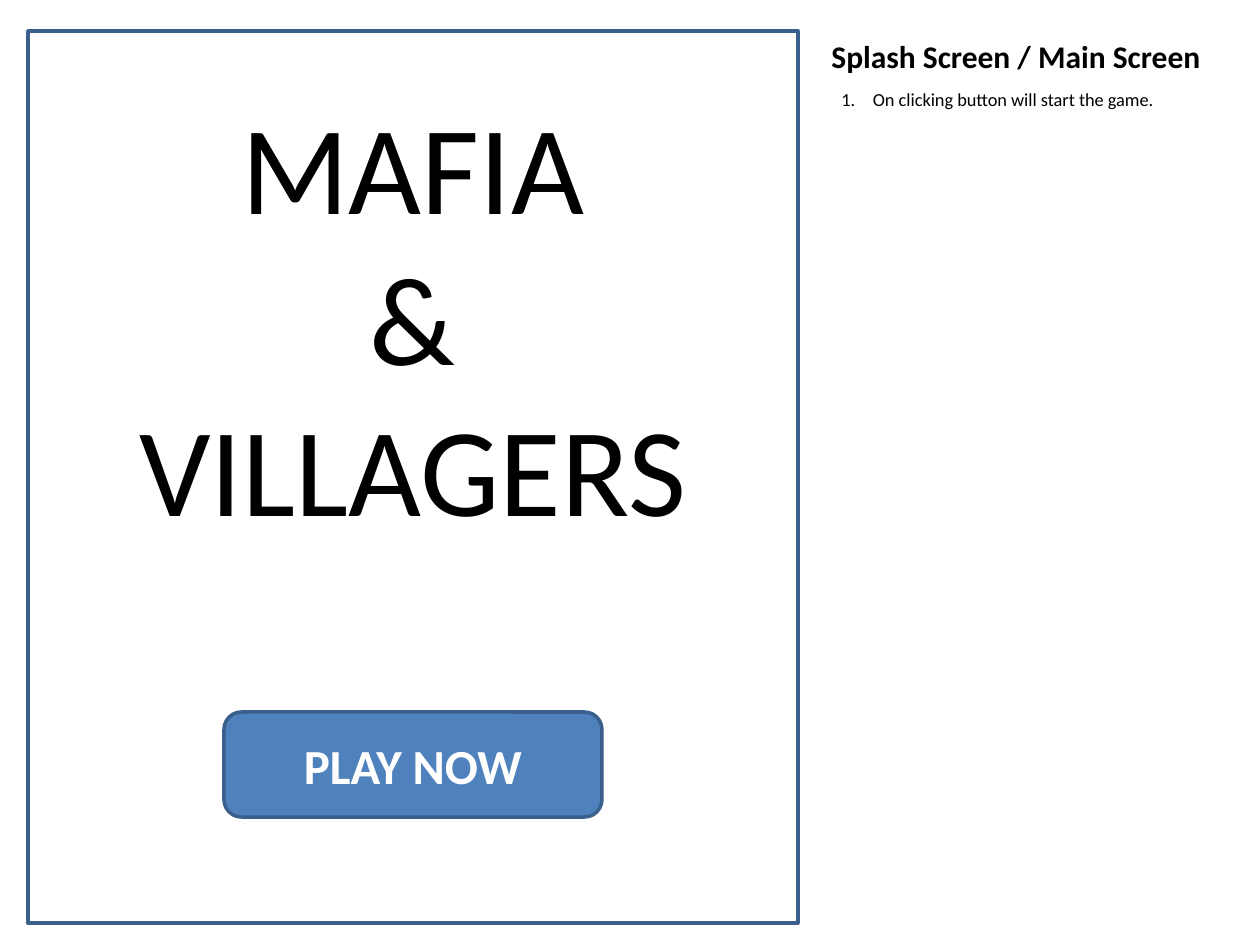
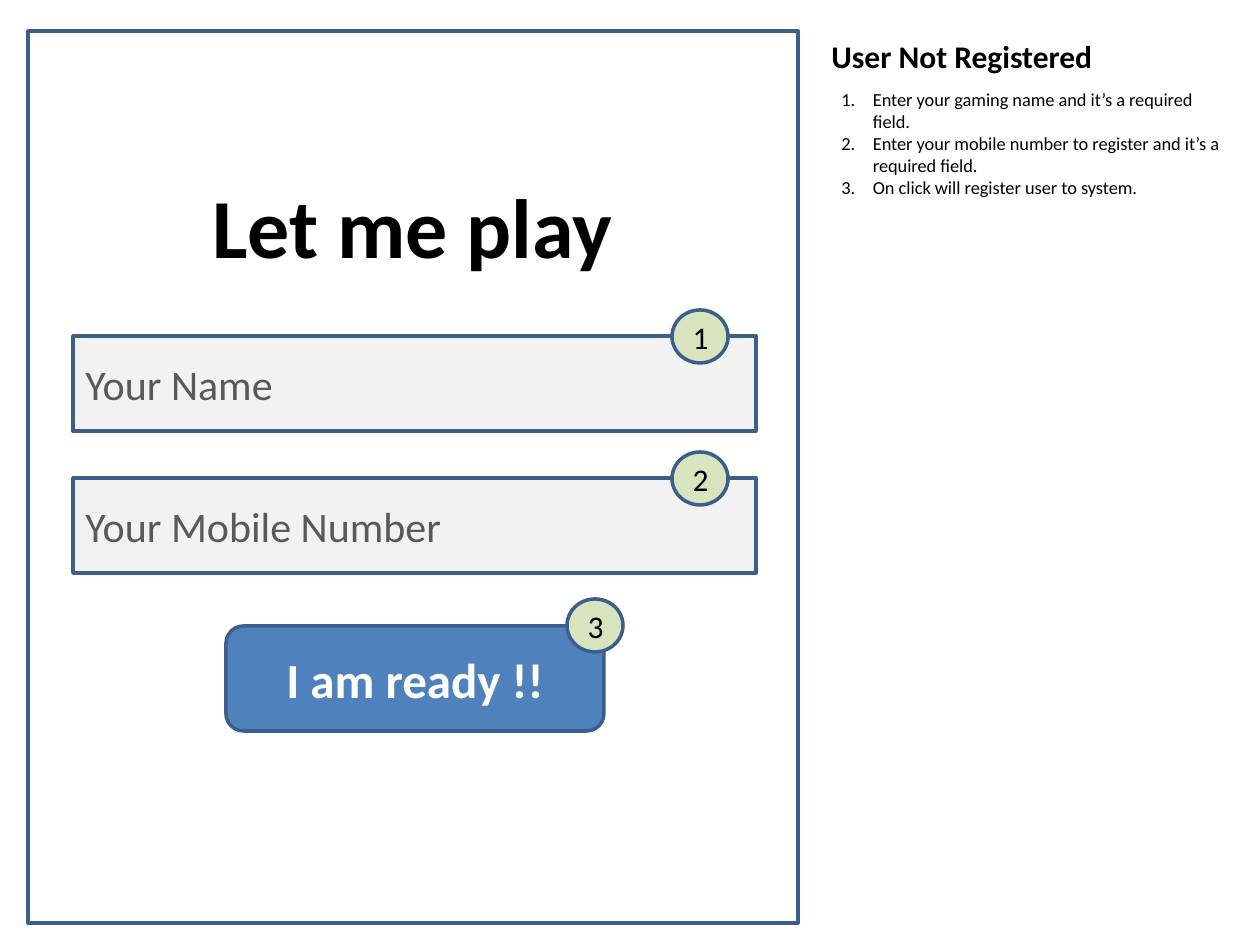
"""Build two annotated screen mock-ups of a party game."""
import pptx
import pptx.util
import pptx.dml.color
import pptx.enum.shapes
import pptx.enum.text
import lxml.etree

SCALE = 914400 / 126
HUES = {"white": "FFFFFF", "black": "000000", "edge": "3A5F8C", "blue": "4F81BD",
        "field": "F2F2F2", "hint": "595959", "badge": "D7E4BD"}
KINDS = pptx.enum.shapes.MSO_SHAPE
ALIGN = pptx.enum.text.PP_ALIGN
ANCHOR = pptx.enum.text.MSO_ANCHOR
FIT = pptx.enum.text.MSO_AUTO_SIZE
LOOKS = {
    "frame": {"kind": KINDS.RECTANGLE, "fill": "white"},
    "title": {"size": 18, "bold": True},
    "notes": {"size": 10.5, "list": True},
    "logo": {"size": 72, "align": ALIGN.CENTER},
    "head": {"size": 48, "bold": True, "align": ALIGN.CENTER},
    "button": {"kind": KINDS.ROUNDED_RECTANGLE, "fill": "blue", "size": 28,
               "bold": True, "ink": "white", "align": ALIGN.CENTER},
    "field": {"kind": KINDS.RECTANGLE, "fill": "field", "size": 24, "ink": "hint"},
    "badge": {"kind": KINDS.OVAL, "fill": "badge", "size": 18, "align": ALIGN.CENTER},
}


def tint(name):
    return pptx.dml.color.RGBColor.from_string(HUES[name])


def draw(page, style, box, lines=()):
    look = LOOKS[style]
    spot = [round(side * SCALE) for side in box]
    if "kind" in look:
        shape = page.shapes.add_shape(look["kind"], *spot)
        shape.shadow.inherit = False
        shape.fill.solid()
        shape.fill.fore_color.rgb = tint(look["fill"])
        shape.line.color.rgb = tint("edge")
        shape.line.width = pptx.util.Pt(2)
        form = {"word_wrap": True, "vertical_anchor": ANCHOR.MIDDLE}
    else:
        shape = page.shapes.add_textbox(*spot)
        form = {"word_wrap": True, "auto_size": FIT.SHAPE_TO_FIT_TEXT}
    frame = shape.text_frame
    for key, value in form.items():
        setattr(frame, key, value)
    for order, line in enumerate(lines):
        para = frame.add_paragraph() if order else frame.paragraphs[0]
        para.alignment = look.get("align", ALIGN.LEFT)
        run = para.add_run()
        run.text = line
        face = {"name": "Calibri", "size": pptx.util.Pt(look["size"]),
                "bold": look.get("bold", False)}
        for key, value in face.items():
            setattr(run.font, key, value)
        run.font.color.rgb = tint(look.get("ink", "black"))
        if look.get("list"):
            props = para._p.get_or_add_pPr()
            props.set("marL", "228600")
            props.set("indent", "-228600")
            space = props.nsmap["a"]
            lxml.etree.SubElement(props, f"{{{space}}}buFont", typeface="+mj-lt")
            lxml.etree.SubElement(props, f"{{{space}}}buAutoNum", type="arabicPeriod")


deck = pptx.Presentation()
deck.slide_width = pptx.util.Inches(10)
deck.slide_height = pptx.util.Inches(7.5)

screens = [
    ("Splash Screen / Main Screen", 35, ["On clicking button will start the game."]),
    ("User Not Registered", 123, [
        "Enter your gaming name and it’s a required field.",
        "Enter your mobile number to register and it’s a required field.",
        "On click will register user to system."]),
]
pages = []
for title, tall, notes in screens:
    page = deck.slides.add_slide(deck.slide_layouts[6])
    draw(page, "frame", (28, 31, 770, 892))
    draw(page, "title", (819, 31, 420, 50), [title])
    draw(page, "notes", (829, 82, 410, tall), notes)
    pages.append(page)
splash, signup = pages

draw(splash, "logo", (47, 82, 732, 471), ["MAFIA", "&", "VILLAGERS"])
draw(splash, "button", (224, 712, 378, 105), ["PLAY NOW"])

draw(signup, "head", (180, 168, 465, 115), ["Let me play"])
draw(signup, "button", (226, 626, 378, 105), ["I am ready !!"])
for row, hint in enumerate(["Your Name", "Your Mobile Number"]):
    draw(signup, "field", (73, 336 + row * 142, 683, 95), [hint])
for mark, (left, top) in enumerate([(672, 310), (672, 452), (567, 599)], 1):
    draw(signup, "badge", (left, top, 56, 53), [str(mark)])

deck.save("out.pptx")
